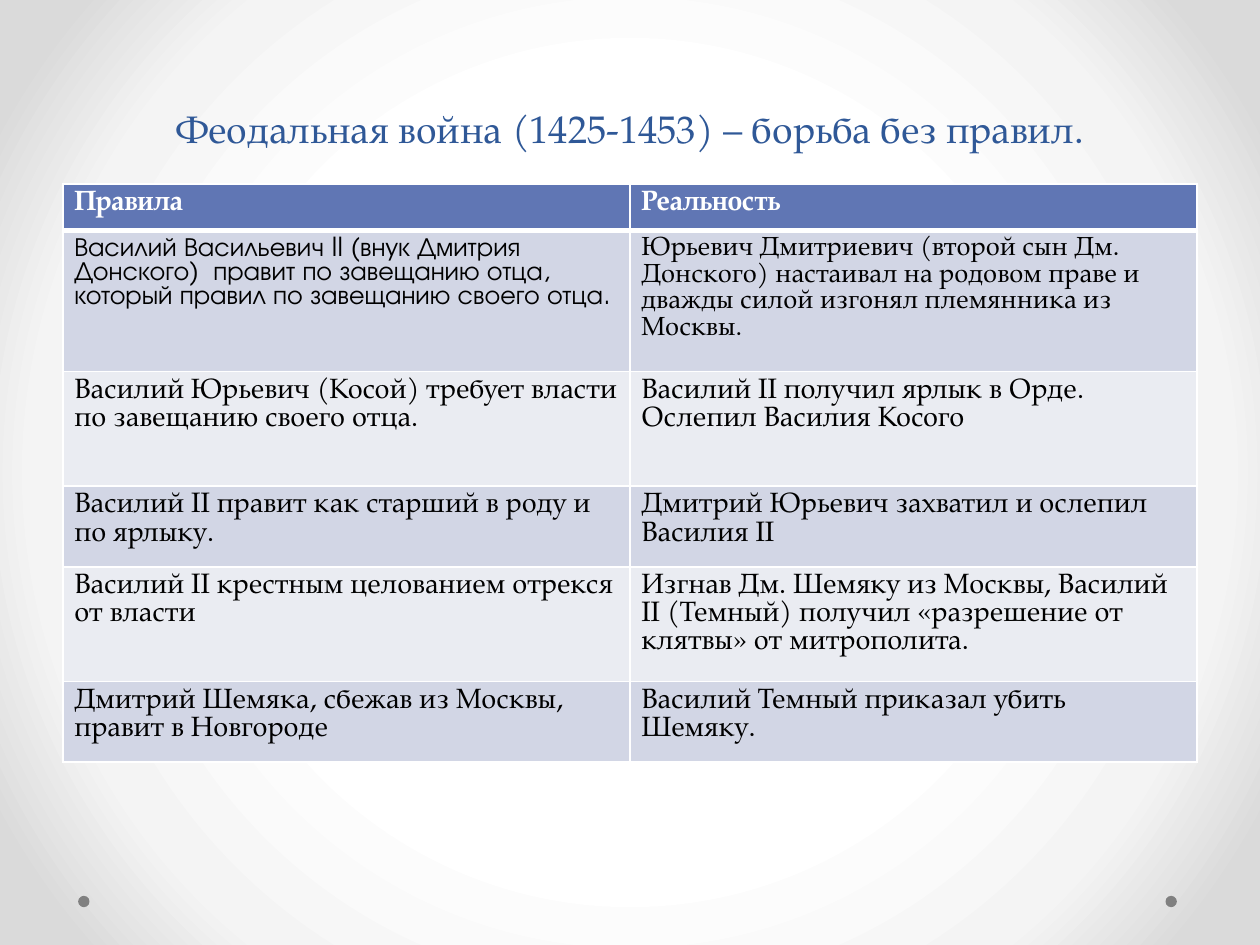
from dataclasses import dataclass

from lxml.etree import SubElement
from pptx import Presentation
from pptx.dml.color import RGBColor as RGB
from pptx.enum.shapes import MSO_SHAPE as Shape
from pptx.enum.text import MSO_ANCHOR as Anchor, MSO_AUTO_SIZE as Fit, PP_ALIGN as Align
from pptx.oxml import parse_xml
from pptx.oxml.ns import nsdecls, qn
from pptx.util import Inches, Pt


@dataclass(frozen=True)
class Theme:
    serif: str = "TeX Gyre Pagella"
    sans: str = "TeX Gyre Adventor"
    title: str = "2F5897"
    head: str = "6076B4"
    bands: tuple = ("D2D6E5", "EAECF2")
    white: str = "FFFFFF"
    text: str = "000000"
    dot: str = "808080"
    glow: tuple = ((50, "FFFFFF"), (76, "F4F4F4"), (92, "DADADA"))
    big: int = 22
    body: int = 16
    small: int = 15


T = Theme()

TITLE = "Феодальная война (1425-1453) – борьба без правил."
ROWS = [
    (0.37, "Правила", "Реальность"),
    (1.12,
     "Василий Васильевич II (внук Дмитрия Донского)  правит по завещанию отца, "
     "который правил по завещанию своего отца.",
     "Юрьевич Дмитриевич (второй сын Дм. Донского) настаивал на родовом праве "
     "и дважды силой изгонял племянника из Москвы."),
    (0.91,
     "Василий Юрьевич (Косой) требует власти по завещанию своего отца.",
     "Василий II получил ярлык в Орде. Ослепил Василия Косого"),
    (0.64,
     "Василий II правит как старший в роду и по ярлыку.",
     "Дмитрий Юрьевич захватил и ослепил Василия II"),
    (0.91,
     "Василий II крестным целованием отрекся от власти",
     "Изгнав Дм. Шемяку из Москвы, Василий II (Темный) получил "
     "«разрешение от клятвы» от митрополита."),
    (0.64,
     "Дмитрий Шемяка, сбежав из Москвы, правит в Новгороде",
     "Василий Темный приказал убить Шемяку."),
]


def apply(item, values):
    for name, value in values.items():
        setattr(item, name, value)


def style(para, face, size, color, bold=False):
    font = para.font
    apply(font, {"name": face, "size": Pt(size), "bold": bold})
    font.color.rgb = RGB.from_string(color)


def add_glow(slide):
    """Radial gradient behind the whole slide."""
    stops = "".join(
        f'<a:gs pos="{pos * 1000}"><a:srgbClr val="{color}"/></a:gs>'
        for pos, color in T.glow)
    slide.element.cSld.insert(0, parse_xml(
        f'<p:bg {nsdecls("p", "a")}><p:bgPr><a:gradFill rotWithShape="1">'
        f'<a:gsLst>{stops}</a:gsLst><a:path path="circle">'
        '<a:fillToRect l="50000" t="50000" r="50000" b="50000"/></a:path>'
        '</a:gradFill><a:effectLst/></p:bgPr></p:bg>'))


def add_dots(slide, left, top, width, size):
    """A dot at each end of the given strip."""
    for x in (left, left + width - size):
        dot = slide.shapes.add_shape(Shape.OVAL, x, top, size, size)
        dot.shadow.inherit = False
        dot.fill.solid()
        dot.fill.fore_color.rgb = RGB.from_string(T.dot)
        dot.line.fill.background()


def add_title(slide, left, top, width, height):
    title = slide.shapes.title
    apply(title, {"left": left, "top": top, "width": width, "height": height})
    frame = title.text_frame
    apply(frame, {"text": TITLE, "word_wrap": True, "auto_size": Fit.NONE,
                  "vertical_anchor": Anchor.BOTTOM})
    para = frame.paragraphs[0]
    apply(para, {"alignment": Align.CENTER, "line_spacing": Pt(58)})
    style(para, T.serif, T.big, T.title)


def add_edges(cell, row):
    """White cell borders, with a thick rule below the header."""
    props = cell._tc.get_or_add_tcPr()
    widths = {"L": 1, "R": 1, "T": 3 if row == 1 else 1, "B": 3 if row == 0 else 1}
    for side, width in widths.items():
        line = SubElement(props, qn(f"a:ln{side}"), w=str(Pt(width)))
        fill = SubElement(line, qn("a:solidFill"))
        SubElement(fill, qn("a:srgbClr"), val=T.white)


def fill_cell(cell, text, row, col):
    add_edges(cell, row)
    cell.fill.solid()
    color = T.bands[(row - 1) % 2] if row else T.head
    cell.fill.fore_color.rgb = RGB.from_string(color)
    apply(cell, {"text": text, "margin_left": Inches(0.09),
                 "margin_right": Inches(0.09), "vertical_anchor": Anchor.TOP})
    style(cell.text_frame.paragraphs[0],
          T.sans if (row, col) == (1, 0) else T.serif,
          T.small if row == 1 else T.body,
          T.text if row else T.white, bold=row == 0)


def add_grid(slide, left, top, width):
    """Rules against reality, in two equal columns."""
    height = Inches(sum(row[0] for row in ROWS))
    grid = slide.shapes.add_table(len(ROWS), 2, left, top, width, height).table
    for col in grid.columns:
        col.width = width // 2
    for row, (tall, *texts) in enumerate(ROWS):
        grid.rows[row].height = Inches(tall)
        for col, text in enumerate(texts):
            fill_cell(grid.cell(row, col), text, row, col)


def main():
    deck = Presentation()
    apply(deck, {"slide_width": Inches(10), "slide_height": Inches(7.5)})
    slide = deck.slides.add_slide(deck.slide_layouts[5])
    left, width = Inches(0.5), Inches(9)
    add_glow(slide)
    add_dots(slide, Inches(0.62), Inches(7.11), Inches(8.72), Inches(0.09))
    add_title(slide, left, Inches(0.54), width, Inches(0.71))
    add_grid(slide, left, Inches(1.46), width)
    deck.save("out.pptx")


if __name__ == "__main__":
    main()
